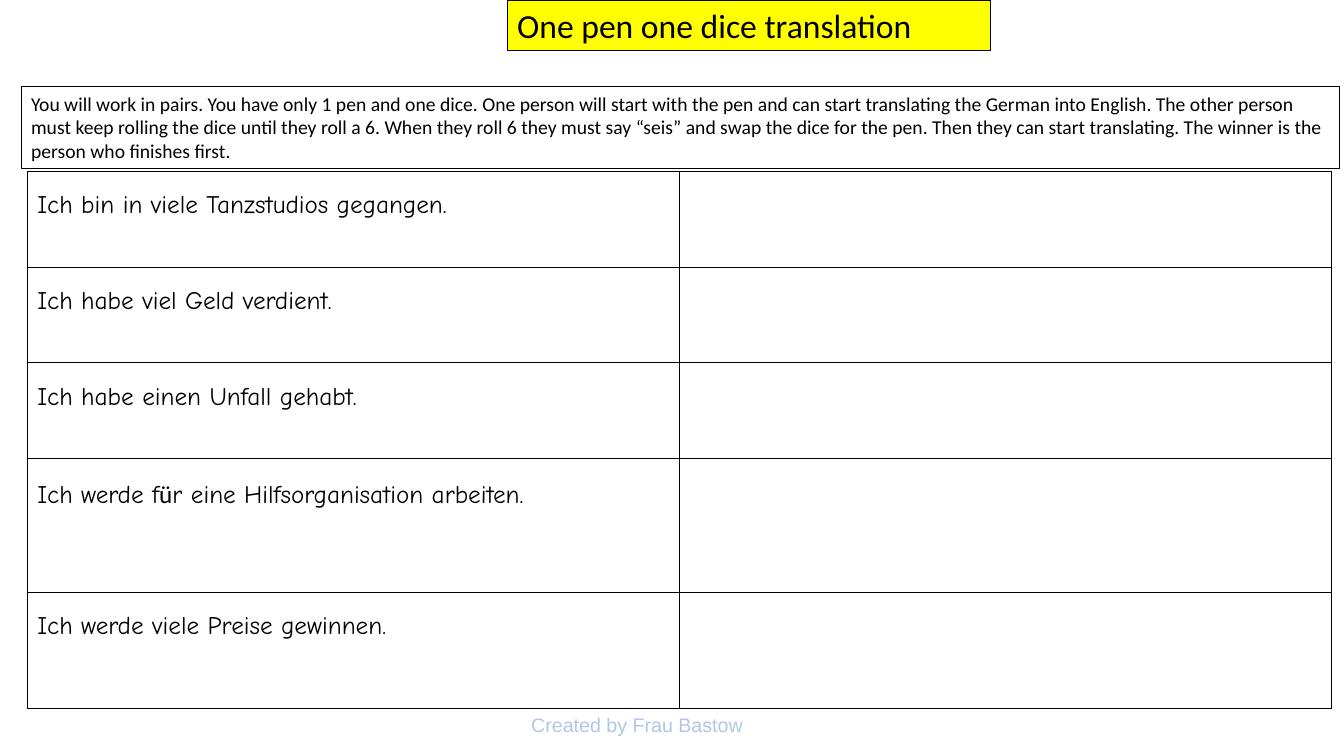
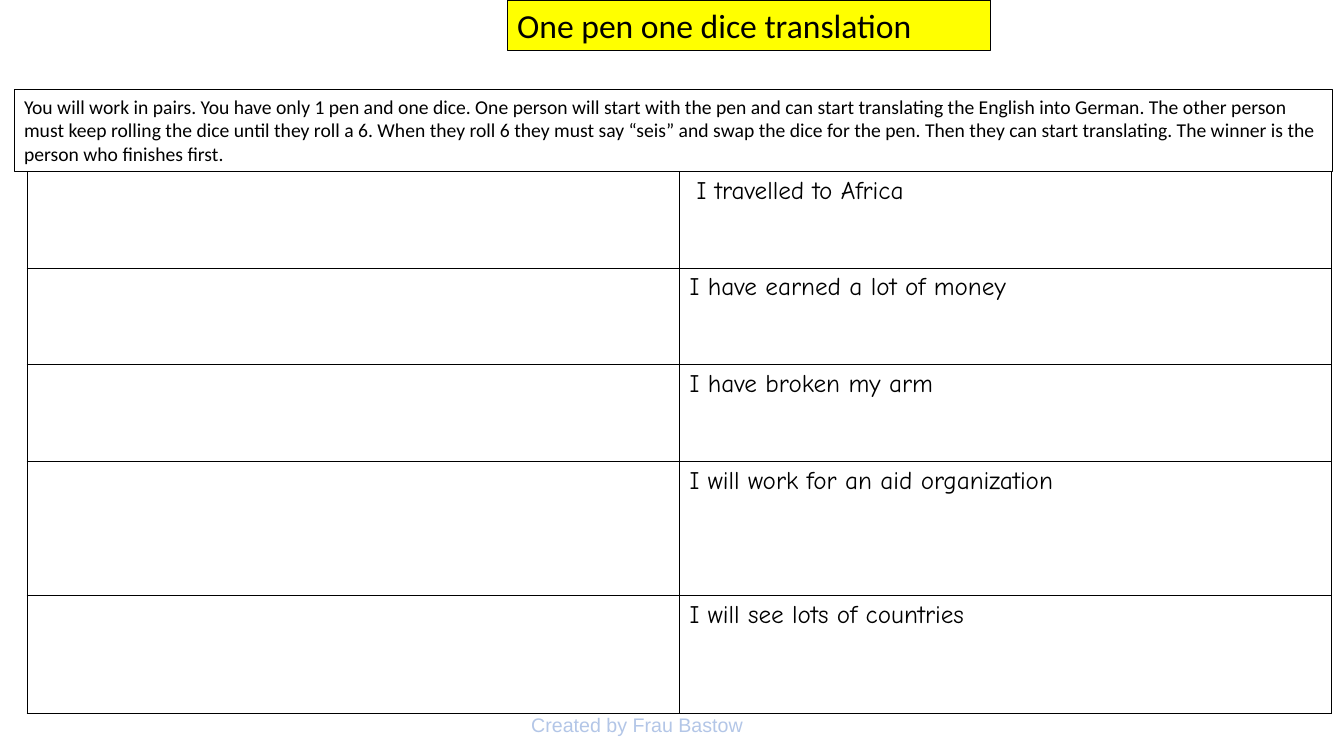
from lxml import etree
from pptx import Presentation
from pptx.dml.color import RGBColor
from pptx.enum.text import MSO_ANCHOR, MSO_AUTO_SIZE, PP_ALIGN
from pptx.oxml.ns import qn
from pptx.util import Inches, Pt

LEFT = PP_ALIGN.LEFT
TOP = MSO_ANCHOR.TOP
NO_AUTOFIT = MSO_AUTO_SIZE.NONE
TITLE_ONLY = 5

COLOURS = {"ink": "000000", "title_fill": "FFFF00", "footer": "B3C6E7"}
BODY_FONT = "Calibri"
FOOTER_FONT = "Arial"
SENTENCE_FONT = "Comic Neue"
UMLAUT = "ü"

TITLE = "One pen one dice translation"
FOOTER = "Created by Frau Bastow"
INSTRUCTIONS = (
    "You will work in pairs. You have only 1 pen and one dice. One person will start "
    "with the pen and can start translating the {source} into {target}. The other person "
    "must keep rolling the dice until they roll a 6. When they roll 6 they must say “seis” "
    "and swap the dice for the pen. Then they can start translating. The winner is the "
    "person who finishes first."
)

WORKSHEETS = [
    {
        "languages": ("German", "English"),
        "instructions_at": (0.21, 0.86),
        "column": 0,
        "line_spacing": 1.5,
        "first_indent": 0.1,
        "row_heights": [0.95, 0.95, 0.95, 1.33, 1.15],
        "sentences": [
            "Ich bin in viele Tanzstudios gegangen.",
            "Ich habe viel Geld verdient.",
            "Ich habe einen Unfall gehabt.",
            "Ich werde für eine Hilfsorganisation arbeiten.",
            "Ich werde viele Preise gewinnen.",
        ],
    },
    {
        "languages": ("English", "German"),
        "instructions_at": (0.14, 0.89),
        "column": 1,
        "line_spacing": 1.0,
        "first_indent": 0.17,
        "row_heights": [0.96, 0.96, 0.96, 1.33, 1.17],
        "sentences": [
            "I travelled to Africa",
            "I have earned a lot of money",
            "I have broken my arm",
            "I will work for an aid organization",
            "I will see lots of countries",
        ],
    },
]


def colour(name):
    """Return the named palette colour."""
    return RGBColor.from_string(COLOURS[name])


def format_font(font, name, size, colour_name="ink"):
    """Set the typeface, size and colour of a font."""
    font.name = name
    font.size = Pt(size)
    font.color.rgb = colour(colour_name)


def place(shape, left, top, width, height):
    """Move and size a shape, in inches."""
    shape.left, shape.top = Inches(left), Inches(top)
    shape.width, shape.height = Inches(width), Inches(height)


def outline(shape):
    """Give a shape the thin dark outline."""
    shape.line.color.rgb = colour("ink")
    shape.line.width = Pt(0.75)


def fill_text(shape, text, font_name, size, colour_name="ink"):
    """Write left-aligned, wrapped text from the top of a shape."""
    frame = shape.text_frame
    frame.text = text
    frame.word_wrap = True
    frame.auto_size = NO_AUTOFIT
    frame.vertical_anchor = TOP
    paragraph = frame.paragraphs[0]
    paragraph.alignment = LEFT
    format_font(paragraph.runs[0].font, font_name, size, colour_name)


def add_title(slide):
    """Set the yellow title band."""
    title = slide.shapes.title
    place(title, 5.03, 0, 4.79, 0.5)
    title.fill.solid()
    title.fill.fore_color.rgb = colour("title_fill")
    outline(title)
    fill_text(title, TITLE, BODY_FONT, 24)


def add_text(slide, box, text, font_name, colour_name="ink"):
    """Add a 14 point text box and return it."""
    shape = slide.shapes.add_textbox(*map(Inches, box))
    fill_text(shape, text, font_name, 14, colour_name)
    return shape


def add_borders(cell):
    """Draw a one point border on every side of a cell."""
    properties = cell._tc.get_or_add_tcPr()
    for side in ("a:lnL", "a:lnR", "a:lnT", "a:lnB"):
        line = etree.SubElement(properties, qn(side), w=str(Pt(1)))
        solid = etree.SubElement(line, qn("a:solidFill"))
        etree.SubElement(solid, qn("a:srgbClr"), val=COLOURS["ink"])


def write_sentence(cell, sentence, line_spacing):
    """Write a sentence, setting any umlaut in the body font."""
    paragraph = cell.text_frame.paragraphs[0]
    paragraph.line_spacing = line_spacing
    for piece in filter(None, sentence.partition(UMLAUT)):
        run = paragraph.add_run()
        run.text = piece
        format_font(run.font, BODY_FONT if piece == UMLAUT else SENTENCE_FONT, 18)


def add_sentence_table(slide, worksheet):
    """Add the table with sentences in one column and room to write in the other."""
    heights = worksheet["row_heights"]
    frame = slide.shapes.add_table(
        len(heights), 2, Inches(0.27), Inches(1.7), Inches(12.94), Inches(sum(heights))
    )
    table = frame.table
    table.first_row = False
    table.horz_banding = False
    for row, height in zip(table.rows, heights):
        row.height = Inches(height)
    for cell in table.iter_cells():
        add_borders(cell)
        cell.fill.background()
    column = worksheet["column"]
    for index, sentence in enumerate(worksheet["sentences"]):
        write_sentence(table.cell(index, column), sentence, worksheet["line_spacing"])
    table.cell(0, column).margin_left = Inches(worksheet["first_indent"])


def add_worksheet(presentation, worksheet):
    """Add one translation worksheet slide."""
    slide = presentation.slides.add_slide(presentation.slide_layouts[TITLE_ONLY])
    add_text(slide, (5.17, 7.02, 4.6, 0.34), FOOTER, FOOTER_FONT, "footer")
    add_title(slide)
    source, target = worksheet["languages"]
    text = INSTRUCTIONS.format(source=source, target=target)
    box = (*worksheet["instructions_at"], 13.08, 0.81)
    outline(add_text(slide, box, text, BODY_FONT))
    add_sentence_table(slide, worksheet)


def main():
    """Build and save the presentation."""
    presentation = Presentation()
    presentation.slide_width = Inches(13.33)
    presentation.slide_height = Inches(7.5)
    for worksheet in WORKSHEETS:
        add_worksheet(presentation, worksheet)
    presentation.save("out.pptx")


if __name__ == "__main__":
    main()
